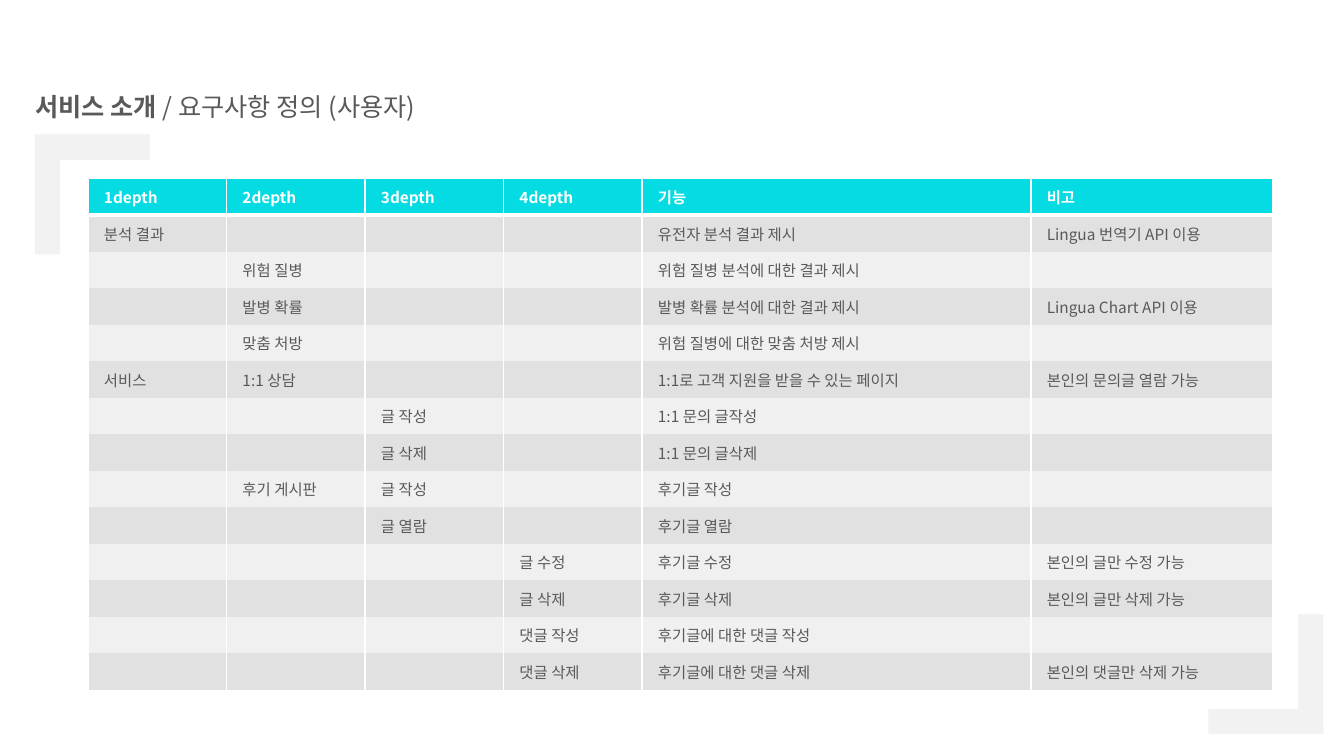
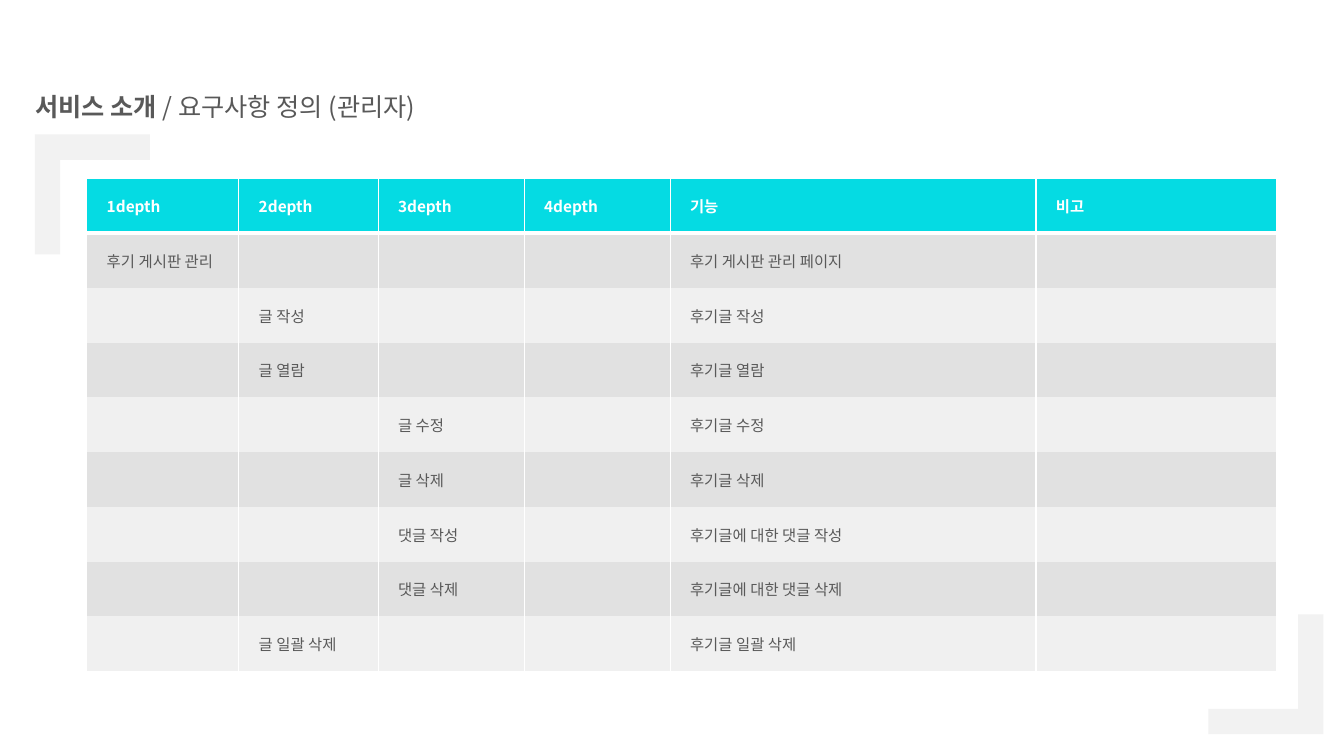
from itertools import cycle

from lxml import etree
from pptx import Presentation
from pptx.dml.color import RGBColor
from pptx.enum import shapes, text
from pptx.oxml import ns
from pptx.util import Cm, Pt

GREY_TEXT = RGBColor(0x59, 0x59, 0x59)
WHITE = RGBColor(0xFF, 0xFF, 0xFF)
CYAN = RGBColor(0x05, 0xDB, 0xE3)
BAND_DARK = RGBColor(0xE1, 0xE1, 0xE1)
BAND_LIGHT = RGBColor(0xF0, 0xF0, 0xF0)
BRACKET = RGBColor(0xF2, 0xF2, 0xF2)

HEADINGS = ("1depth", "2depth", "3depth", "4depth", "기능", "비고")

USER_REQUIREMENTS = [
    ("분석 결과", "", "", "", "유전자 분석 결과 제시", "Lingua 번역기 API 이용"),
    ("", "위험 질병", "", "", "위험 질병 분석에 대한 결과 제시", ""),
    ("", "발병 확률", "", "", "발병 확률 분석에 대한 결과 제시", "Lingua Chart API 이용"),
    ("", "맞춤 처방", "", "", "위험 질병에 대한 맞춤 처방 제시", ""),
    ("서비스", "1:1 상담", "", "", "1:1로 고객 지원을 받을 수 있는 페이지", "본인의 문의글 열람 가능"),
    ("", "", "글 작성", "", "1:1 문의 글작성", ""),
    ("", "", "글 삭제", "", "1:1 문의 글삭제", ""),
    ("", "후기 게시판", "글 작성", "", "후기글 작성", ""),
    ("", "", "글 열람", "", "후기글 열람", ""),
    ("", "", "", "글 수정", "후기글 수정", "본인의 글만 수정 가능"),
    ("", "", "", "글 삭제", "후기글 삭제", "본인의 글만 삭제 가능"),
    ("", "", "", "댓글 작성", "후기글에 대한 댓글 작성", ""),
    ("", "", "", "댓글 삭제", "후기글에 대한 댓글 삭제", "본인의 댓글만 삭제 가능"),
]

ADMIN_REQUIREMENTS = [
    ("후기 게시판 관리", "", "", "", "후기 게시판 관리 페이지", ""),
    ("", "글 작성", "", "", "후기글 작성", ""),
    ("", "글 열람", "", "", "후기글 열람", ""),
    ("", "", "글 수정", "", "후기글 수정", ""),
    ("", "", "글 삭제", "", "후기글 삭제", ""),
    ("", "", "댓글 작성", "", "후기글에 대한 댓글 작성", ""),
    ("", "", "댓글 삭제", "", "후기글에 대한 댓글 삭제", ""),
    ("", "글 일괄 삭제", "", "", "후기글 일괄 삭제", ""),
]


class Deck:
    FONT = "Noto Sans CJK KR"
    NO_STYLE = "{2D5ABB26-0587-4C30-8999-92F81FD0307C}"

    def __init__(self):
        self.prs = Presentation()
        self.prs.slide_width, self.prs.slide_height = Cm(33.87), Cm(19.05)
        self.slide = None

    def new_slide(self, audience):
        self.slide = self.prs.slides.add_slide(self.prs.slide_layouts[6])
        self.title("서비스 소개 ", f"/ 요구사항 정의 ({audience})")
        self.bracket(0.82, 3.45, 90)
        self.bracket(30.39, 15.54, 270)

    def style(self, paragraph, size, color, bold=None):
        font = paragraph.font
        font.size, font.bold, font.name = Pt(size), bold, self.FONT
        font.color.rgb = color
        latin = font._rPr.find(ns.qn("a:latin"))
        east_asian = etree.Element(ns.qn("a:ea"), typeface=self.FONT)
        latin.addnext(east_asian)

    def title(self, section, topic):
        box = self.slide.shapes.add_textbox(Cm(0.89), Cm(2.39), Cm(29.9), Cm(0.69))
        frame = box.text_frame
        frame.word_wrap = True
        frame.vertical_anchor = text.MSO_ANCHOR.MIDDLE
        frame.margin_left = frame.margin_right = 0
        frame.margin_top = frame.margin_bottom = 0
        heading = frame.paragraphs[0]
        heading.line_spacing = 0.9
        self.style(heading, 18, GREY_TEXT)
        for words, bold in ((section, True), (topic, False)):
            run = heading.add_run()
            run.text, run.font.bold = words, bold

    def bracket(self, left, top, rotation):
        corner = self.slide.shapes.add_shape(
            shapes.MSO_SHAPE.CORNER, Cm(left), Cm(top), Cm(3.02), Cm(2.9))
        corner.adjustments[0], corner.adjustments[1] = 0.22, 0.22
        corner.rotation = rotation
        corner.shadow.inherit = False
        corner.fill.solid()
        corner.fill.fore_color.rgb = BRACKET
        corner.line.fill.background()

    def border(self, cell, side, width):
        line = etree.SubElement(
            cell._tc.get_or_add_tcPr(), ns.qn(f"a:ln{side}"), w=str(Pt(width)))
        fill = etree.SubElement(line, ns.qn("a:solidFill"))
        etree.SubElement(fill, ns.qn("a:srgbClr"), val=str(WHITE))

    def cell(self, cell, words, fill, color, inset, header):
        cell.margin_left, cell.margin_right = Cm(inset), Cm(0.25)
        cell.margin_top = cell.margin_bottom = Cm(0.13)
        cell.vertical_anchor = text.MSO_ANCHOR.MIDDLE
        self.border(cell, "L", 1)
        self.border(cell, "R", 1)
        if header:
            self.border(cell, "B", 3)
        cell.fill.solid()
        cell.fill.fore_color.rgb = fill
        paragraph = cell.text_frame.paragraphs[0]
        if words:
            paragraph.text = words
        self.style(paragraph, 11, color, header)
        if not words:
            etree.SubElement(paragraph._p, ns.qn("a:endParaRPr"), sz="1100")

    def requirements(self, rows, left, widths, row_height, inset):
        frame = self.slide.shapes.add_table(
            len(rows) + 1, len(HEADINGS), Cm(left), Cm(4.5),
            Cm(sum(widths)), Cm(row_height * (len(rows) + 1)))
        table = frame.table
        table.horz_banding = False
        table._tbl.tblPr.find(ns.qn("a:tableStyleId")).text = self.NO_STYLE
        for column, width in zip(table.columns, widths):
            column.width = Cm(width)
        bands = cycle((BAND_DARK, BAND_LIGHT))
        for index, entries in enumerate([HEADINGS, *rows]):
            header = index == 0
            table.rows[index].height = Cm(row_height)
            fill, color = (CYAN, WHITE) if header else (next(bands), GREY_TEXT)
            for cell, words in zip(table.rows[index].cells, entries):
                self.cell(cell, words, fill, color, inset, header)


def main():
    deck = Deck()
    deck.new_slide("사용자")
    deck.requirements(USER_REQUIREMENTS, 2.22, [3.49] * 4 + [9.8, 6.1], 0.92, 0.4)
    deck.new_slide("관리자")
    deck.requirements(
        ADMIN_REQUIREMENTS, 2.19, [3.83, 3.51, 3.68, 3.68, 9.22, 6.07], 1.38, 0.5)
    deck.prs.save("out.pptx")


if __name__ == "__main__":
    main()
